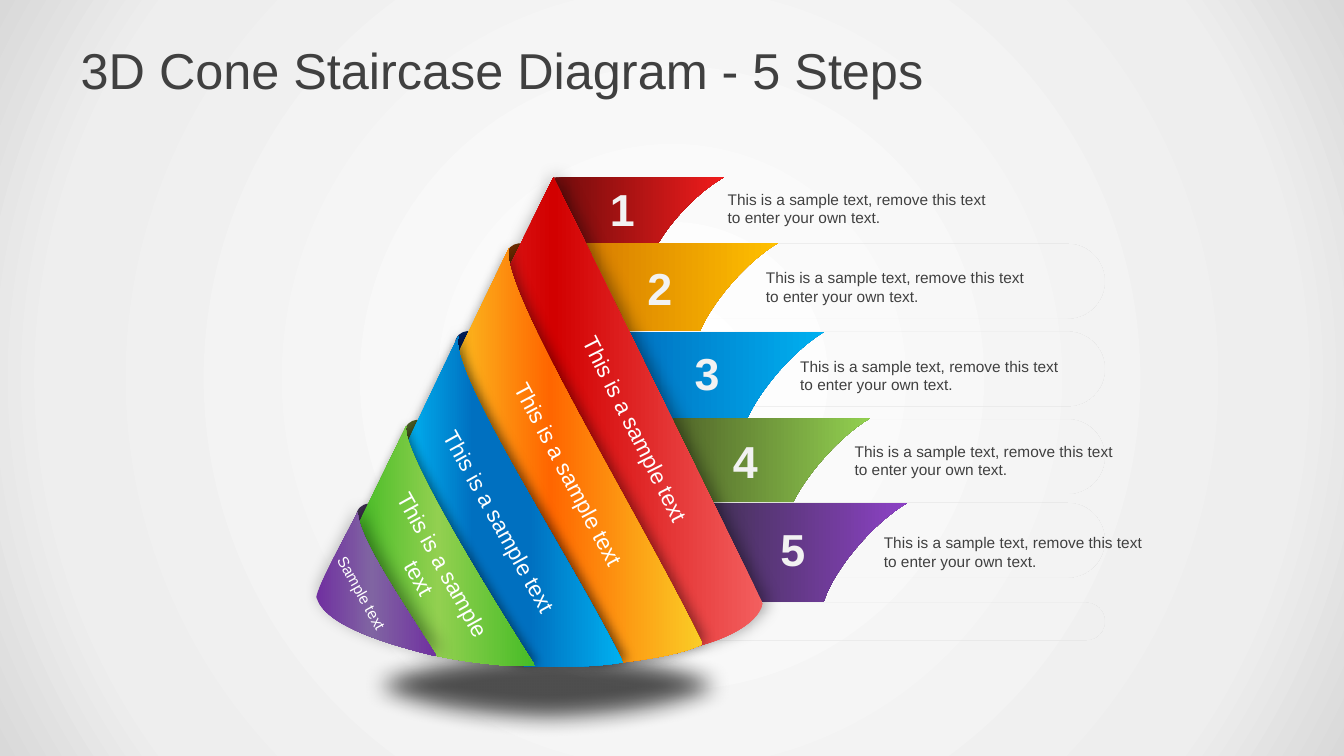
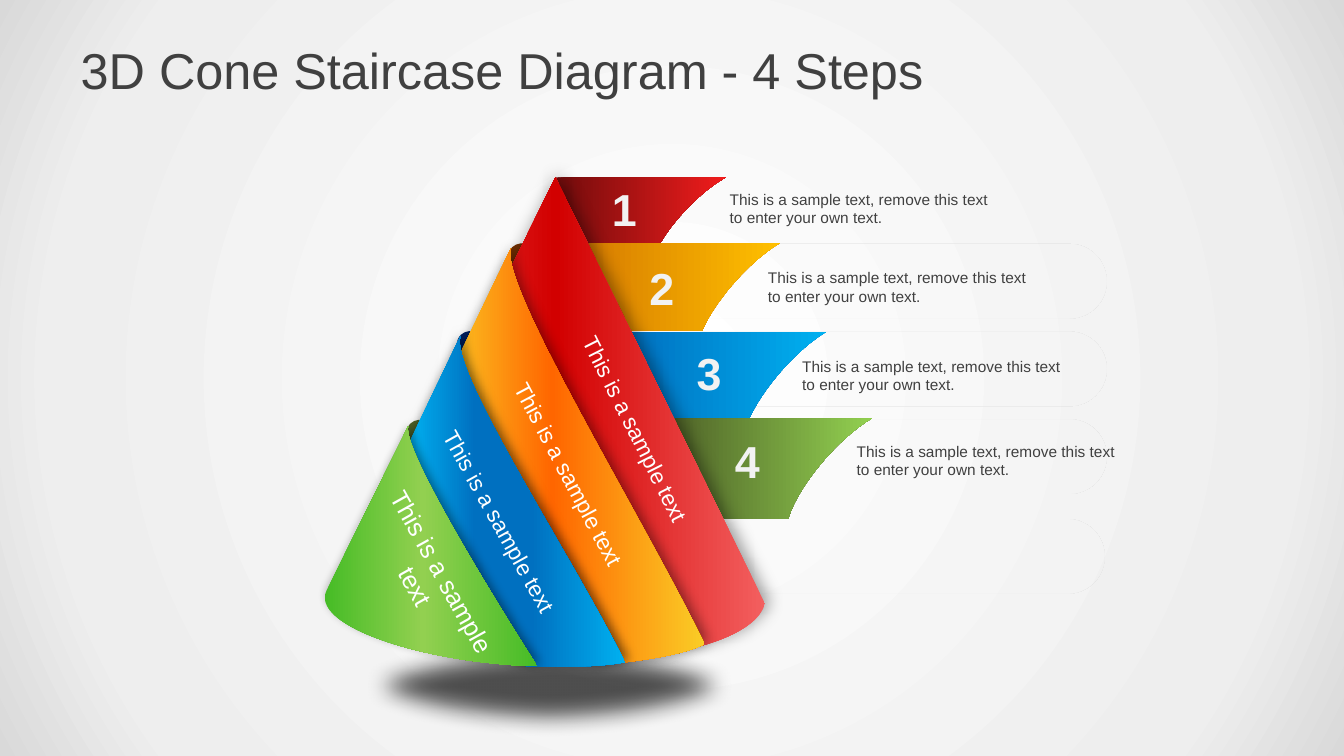
from dataclasses import dataclass, replace
from lxml.etree import SubElement as Sub
from pptx import Presentation
from pptx.dml.color import RGBColor
from pptx.enum.shapes import MSO_SHAPE as Kind
from pptx.enum.text import MSO_ANCHOR as Anchor, MSO_AUTO_SIZE as Auto, PP_ALIGN as Align
from pptx.oxml import parse_xml
from pptx.oxml.ns import nsdecls, qn
from pptx.util import Emu, Pt

PX = 9144
FONT = "Arial"
INK, PALE, WHITE = "404040", "F2F2F2", "FFFFFF"
BACK = [(0, "FFFFFF"), (81, "EEEEEE"), (100, "D9D9D9")]
NOTE = "This is a sample text, remove this text to enter your own text."
LABEL = "This is a sample text"
FOLD = [(2, 35), (-7, 0, 11, -1, 20, 1), (17, 23)]


@dataclass
class Step:
    tag: tuple
    hues: list
    pill: tuple
    band: list
    tints: list
    glow: tuple
    num: tuple
    note: tuple
    label: tuple
    fold: tuple = ()
    text: str = LABEL


STEPS = [
    Step(tag=(249, 76, 169, 73, 83, 87), hues=[(0, "720C0C"), (100, "F01C1C")],
         pill=(231, 142, 565, 74),
         band=[(41, 499), (249, 76), (457, 499), (442, 553, 240, 587, 41, 499)],
         tints=[(0, "F35F5F"), (50, "D20000"), (100, "F35F5F")], glow=(40, 12, 3),
         num=(290, 68), note=(412, 68), label=(197, 301, 267, 63.3, 16),
         fold=(202, 141, "742F00")),
    Step(tag=(273, 141, 199, 81, 97, 103), hues=[(0, "D67A00"), (100, "FFC000")],
         pill=(264, 229, 532, 74),
         band=[(205, 146), (149, 262), (284, 561), (330, 556, 373, 551, 397, 539),
               (333, 408, 192, 181, 205, 146)],
         tints=[(0, "FBBD20"), (39, "FF6600"), (100, "FACD26")], glow=(40, 9, 3),
         num=(327, 147), note=(450, 146), label=(131, 346, 267, 62, 16),
         fold=(151, 228, "002060")),
    Step(tag=(318, 229, 200, 81, 98, 103), hues=[(0, "0070C0"), (100, "00B0F0")],
         pill=(282, 316, 514, 74),
         band=[(155, 233), (103, 341), (140, 422, 171, 478, 208, 560),
               (232, 562, 289, 563, 318, 557), (265, 450, 143, 267, 155, 233)],
         tints=[(0, "00B0F0"), (31, "0070C0"), (58, "0072C1"), (100, "00B0F0")],
         glow=(53, 8, 3),
         num=(374, 231), note=(484, 234), label=(62, 393, 267, 61, 16),
         fold=(101, 316, "4F6228")),
    Step(tag=(360, 315, 203, 83, 100, 105), hues=[(0, "4F6228"), (100, "92D050")],
         pill=(332, 399, 464, 74),
         band=[(103, 323), (53, 425), (81, 488, 96, 486, 124, 548),
               (139, 554, 207, 563, 231, 561), (185, 489, 97, 345, 103, 323)],
         tints=[(0, "46BC26"), (46, "92D050"), (100, "46BC26")], glow=(40, 7, 3),
         num=(412, 318), note=(538, 318), label=(28, 442, 200, 61, 16),
         fold=(53, 399, "403152")),
    Step(tag=(397, 399, 203, 83, 99, 100), hues=[(0, "403152"), (100, "8D42C6")],
         pill=(382, 498, 414, 37),
         band=[(55, 408), (41, 435, 12, 488, 14, 493), (22, 519, 78, 538, 133, 551),
               (99, 497, 55, 433, 55, 408)],
         tints=[(0, "7030A0"), (46, "8064A2"), (100, "7030A0")], glow=(40, 13, 4),
         num=(459, 406), note=(567, 409), label=(-1, 464, 120, 61, 11),
         text="Sample text"),
]
BASE = replace(STEPS[3], tag=(360, 315, 203, 83, 100, 100), pill=(330, 415, 464, 74),
               band=[(103, 323), (22, 486), (5, 520, 117, 558, 231, 561),
                     (185, 489, 97, 345, 103, 323)],
               label=(15, 450, 221, 61, 18), fold=())


def px(*nums):
    return [Emu(round(n * PX)) for n in nums]


def rgb(code):
    return RGBColor.from_string(code)


def blend(fill, node, stops, ring=False):
    fill.solid()
    marks = "".join(f'<a:gs pos="{at * 1000}"><a:srgbClr val="{rgb(hue)}"/></a:gs>'
                    for at, hue in stops)
    way = '<a:lin ang="0" scaled="0"/>'
    if ring:
        way = ('<a:path path="circle"><a:fillToRect l="50000" t="50000" '
               'r="50000" b="50000"/></a:path>')
    old = node.find(qn("a:solidFill"))
    node.replace(old, parse_xml(f'<a:gradFill {nsdecls("a")} rotWithShape="1">'
                                f'<a:gsLst>{marks}</a:gsLst>{way}</a:gradFill>'))


def plain(shape):
    shape.shadow.inherit = False
    shape.line.fill.background()
    return shape


def effect(shape, name, **attrs):
    fx = shape.element.spPr.find(qn("a:effectLst"))
    return Sub(fx, qn(f"a:{name}"), {k: str(v) for k, v in attrs.items()})


def shade(shape, alpha, blur, dist, turn):
    fx = effect(shape, "outerShdw", blurRad=Pt(blur), dist=Pt(dist),
                dir=turn * 60000, algn="ctr", rotWithShape=0)
    hue = Sub(fx, qn("a:srgbClr"), val="000000")
    Sub(hue, qn("a:alpha"), val=str(alpha * 1000))


def write(frame, text, size=11, hue=INK, bold=False, align=Align.LEFT,
          wrap=True, pad=(10, 5)):
    frame.word_wrap = wrap
    frame.auto_size = Auto.NONE if wrap else Auto.SHAPE_TO_FIT_TEXT
    frame.vertical_anchor = Anchor.MIDDLE
    frame.margin_left = frame.margin_right = px(pad[0])[0]
    frame.margin_top = frame.margin_bottom = px(pad[1])[0]
    para = frame.paragraphs[0]
    para.alignment = align
    run = para.add_run()
    run.text = text
    font = run.font
    font.name, font.size, font.bold = FONT, Pt(size), bold
    font.color.rgb = rgb(hue)


def label(slide, box, text, turn=0, **form):
    shape = slide.shapes.add_textbox(*px(*box))
    shape.rotation = turn
    write(shape.text_frame, text, **form)


def curve(start, bend, count=24):
    pts = [start, bend[:2], bend[2:4], bend[4:]]
    for i in range(1, count + 1):
        t = i / count
        u = 1 - t
        parts = (u ** 3, 3 * u * u * t, 3 * u * t * t, t ** 3)
        yield tuple(sum(w * p[k] for w, p in zip(parts, pts)) for k in (0, 1))


def outline(slide, left, top, segs):
    pts = [segs[0]]
    for seg in segs[1:]:
        pts += [seg] if len(seg) == 2 else curve(pts[-1], seg)
    pts = [tuple(px(left + x, top + y)) for x, y in pts]
    pen = slide.shapes.build_freeform(*pts[0], scale=1.0)
    pen.add_line_segments(pts[1:], close=True)
    shape = plain(pen.convert_to_shape())
    trail = shape.element.spPr.find(".//" + qn("a:path"))
    for old in list(trail):
        trail.remove(old)
    for i, seg in enumerate(segs):
        name = "cubicBezTo" if len(seg) == 6 else "lnTo" if i else "moveTo"
        step = Sub(trail, qn(f"a:{name}"))
        for x, y in zip(seg[::2], seg[1::2]):
            x, y = px(left + x, top + y)
            Sub(step, qn("a:pt"), x=str(x - shape.left), y=str(y - shape.top))
    Sub(trail, qn("a:close"))
    return shape


def floor(slide, left, top):
    oval = plain(slide.shapes.add_shape(Kind.OVAL, *px(left + 37, top + 528, 413, 105)))
    oval.fill.solid()
    oval.fill.fore_color.rgb = rgb("000000")
    hue = oval.element.spPr.find(qn("a:solidFill"))[0]
    Sub(hue, qn("a:alpha"), val="68000")
    effect(oval, "softEdge", rad=Pt(16))


def tag(slide, left, top, step):
    x, y, wide, run, drop, base = step.tag
    end = x + wide
    bend = (end - .41 * run, y + .2 * drop, end - .89 * run, y + .68 * drop,
            end - run, y + drop)
    shape = outline(slide, left, top, [(x, y), (end, y), bend, (x, y + base)])
    blend(shape.fill, shape.element.spPr, step.hues)


def pill(slide, left, top, step):
    x, y, wide, high = step.pill
    shape = plain(slide.shapes.add_shape(
        Kind.ROUNDED_RECTANGLE, *px(left + x, top + y, wide, high)))
    shape.adjustments[0] = .5
    shape.element.set("useBgFill", "1")
    shade(shape, 25, 9, 9, 270)


def band(slide, left, top, step):
    shape = outline(slide, left, top, step.band)
    blend(shape.fill, shape.element.spPr, step.tints)
    shade(shape, *step.glow, 315)


def fold(slide, left, top, step):
    if step.fold:
        x, y, hue = step.fold
        shape = outline(slide, left + x, top + y, FOLD)
        shape.fill.solid()
        shape.fill.fore_color.rgb = rgb(hue)


def cone(slide, left, top, steps):
    floor(slide, left, top)
    for step in steps:
        tag(slide, left, top, step)
        pill(slide, left, top, step)
    for step in steps:
        fold(slide, left, top, step)
        band(slide, left, top, step)


def notes(slide, left, top, steps):
    for i, step in enumerate(steps, 1):
        x, y = step.num
        label(slide, (left + x, top + y, 55, 77), str(i), size=32, hue=PALE,
              bold=True, align=Align.CENTER, wrap=False)
    for step in steps:
        x, y = step.note
        label(slide, (left + x, top + y, 282, 77), NOTE)


def names(slide, left, top, steps):
    for step in steps:
        x, y, wide, turn, size = step.label
        label(slide, (left + x, top + y, wide, 49), step.text, turn, size=size,
              hue=WHITE, align=Align.CENTER)


def stairs(deck, left, top, steps):
    slide = deck.slides.add_slide(deck.slide_layouts[5])
    title = slide.shapes.title
    title.left, title.top, title.width, title.height = px(67, 30, 1200, 78)
    write(title.text_frame, f"3D Cone Staircase Diagram - {len(steps)} Steps",
          size=36, pad=(13, 7))
    cone(slide, left, top, steps)
    notes(slide, left, top, steps)
    names(slide, 300, top, steps)


def main():
    deck = Presentation()
    deck.slide_width, deck.slide_height = Pt(960), Pt(540)
    master = deck.slide_master
    fill = master.background.fill
    fill.solid()
    blend(fill, master.element.find(".//" + qn("p:bgPr")), BACK, ring=True)
    stairs(deck, 300, 100, STEPS)
    stairs(deck, 302, 100, STEPS[:3] + [BASE])
    deck.save("out.pptx")


if __name__ == "__main__":
    main()
